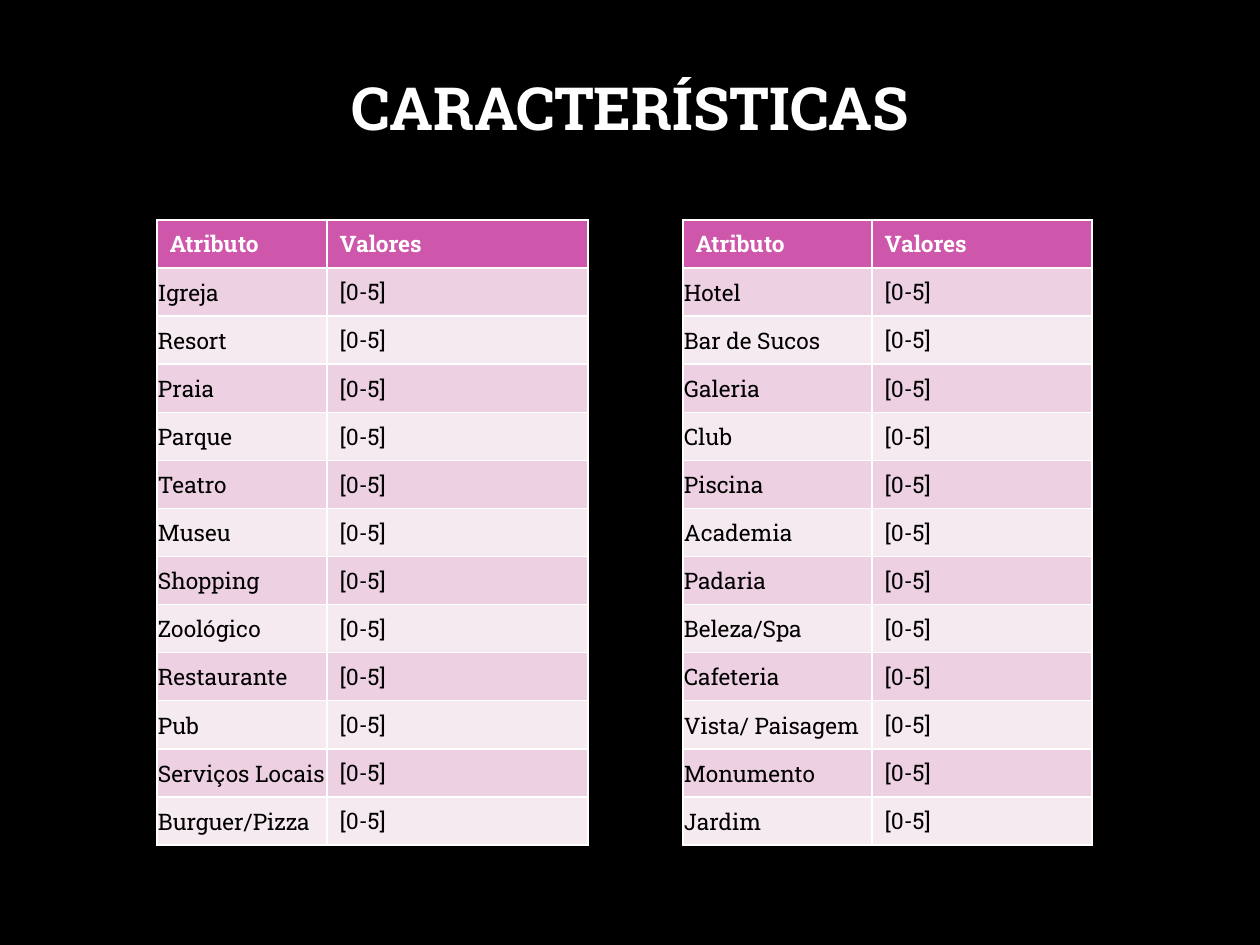
from pptx import Presentation
from pptx.dml.color import RGBColor
from pptx.enum.text import MSO_ANCHOR, PP_ALIGN
from pptx.util import Pt

MIDDLE = MSO_ANCHOR.MIDDLE
LEFT, CENTER = PP_ALIGN.LEFT, PP_ALIGN.CENTER
SCALE = 914400 // 126

BLACK, WHITE, PINK = "000000", "FFFFFF", "CE57AB"
BANDS = "EDD1E2", "F6EAF1"

HEADS = "Atributo", "Valores"
RANGE = "[0-5]"
PLACES = ["Igreja", "Resort", "Praia", "Parque", "Teatro", "Museu",
          "Shopping", "Zoológico", "Restaurante", "Pub",
          "Serviços Locais", "Burguer/Pizza"]
VENUES = ["Hotel", "Bar de Sucos", "Galeria", "Club", "Piscina", "Academia",
          "Padaria", "Beleza/Spa", "Cafeteria", "Vista/ Paisagem",
          "Monumento", "Jardim"]


def px(n):
    return n * SCALE


def color(code):
    return RGBColor.from_string(code)


def write(frame, text, font, size=13, ink=BLACK, bold=False, align=LEFT,
          lead=None):
    par = frame.paragraphs[0]
    par.alignment = align
    par.line_spacing = lead
    run = par.add_run()
    run.text = text
    run.font.name = font
    run.font.size = Pt(size)
    run.font.bold = bold
    run.font.color.rgb = color(ink)


class Page:
    font = "Roboto Slab"

    def __init__(self, slide):
        self.slide = slide
        fill = slide.background.fill
        fill.solid()
        fill.fore_color.rgb = color(BLACK)

    def title(self, text, x, y, w, h):
        box = self.slide.shapes.add_textbox(px(x), px(y), px(w), px(h))
        box.text_frame.word_wrap = True
        write(box.text_frame, text, self.font, size=34, ink=WHITE, bold=True,
              align=CENTER, lead=0.9)

    def cell(self, cell, text, back, **form):
        cell.vertical_anchor = MIDDLE
        cell.fill.solid()
        cell.fill.fore_color.rgb = color(back)
        write(cell.text_frame, text, self.font, **form)

    def table(self, names, x, y, widths, h):
        """Draw a header and one banded row per name.

        The default table style supplies the white rules.
        """
        grid = self.slide.shapes.add_table(
            len(names) + 1, len(widths), px(x), px(y), px(sum(widths)), px(h)
        ).table
        for col, width in zip(grid.columns, widths):
            col.width = px(width)
        for i, head in enumerate(HEADS):
            self.cell(grid.cell(0, i), head, PINK, ink=WHITE, bold=True)
        for i, name in enumerate(names):
            back = BANDS[i % 2]
            label = grid.cell(i + 1, 0)
            label.margin_left = label.margin_right = label.margin_top = px(1)
            label.margin_bottom = 0
            self.cell(label, name, back)
            self.cell(grid.cell(i + 1, 1), RANGE, back)


def main():
    deck = Presentation()
    deck.slide_width, deck.slide_height = px(1260), px(945)
    page = Page(deck.slides.add_slide(deck.slide_layouts[6]))
    page.table(PLACES, 157, 220, (170, 261), 625)
    page.title("CARACTERÍSTICAS", 95, 73, 1070, 118)
    page.table(VENUES, 683, 220, (189, 220), 625)
    deck.save("out.pptx")


if __name__ == "__main__":
    main()
